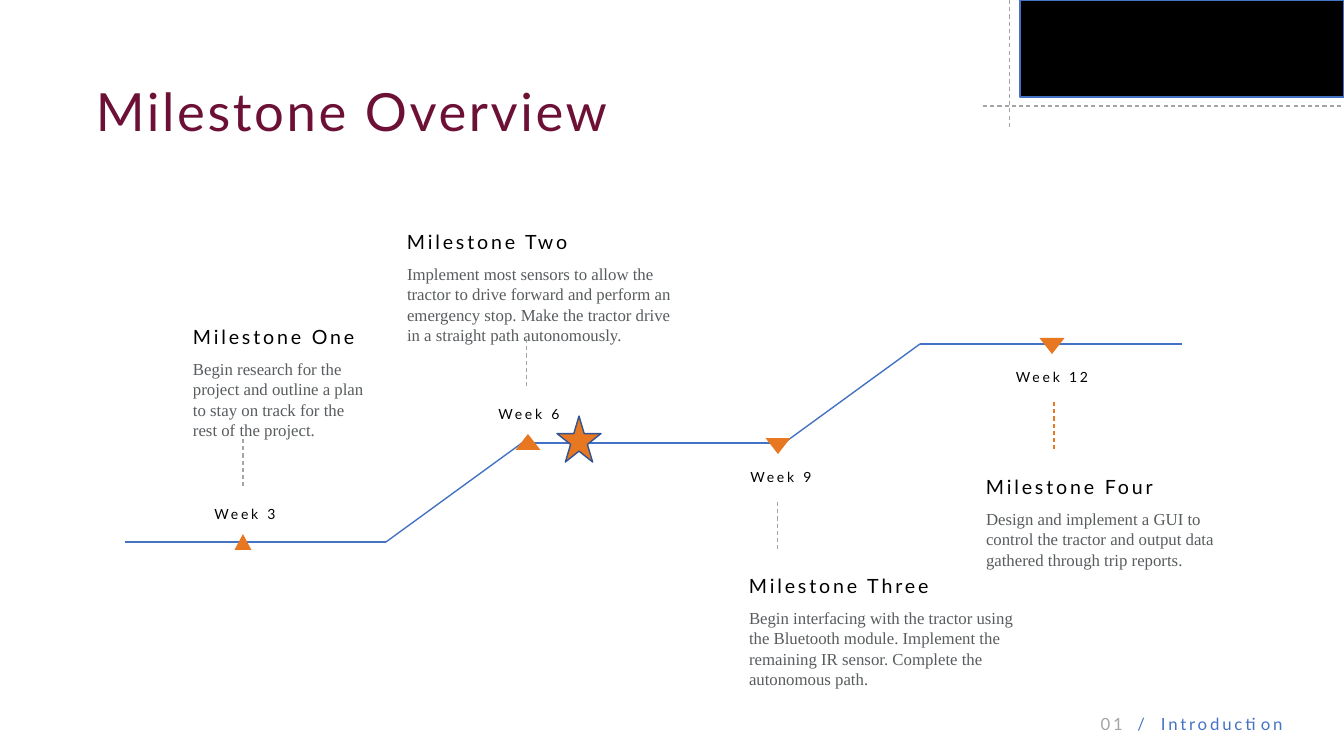
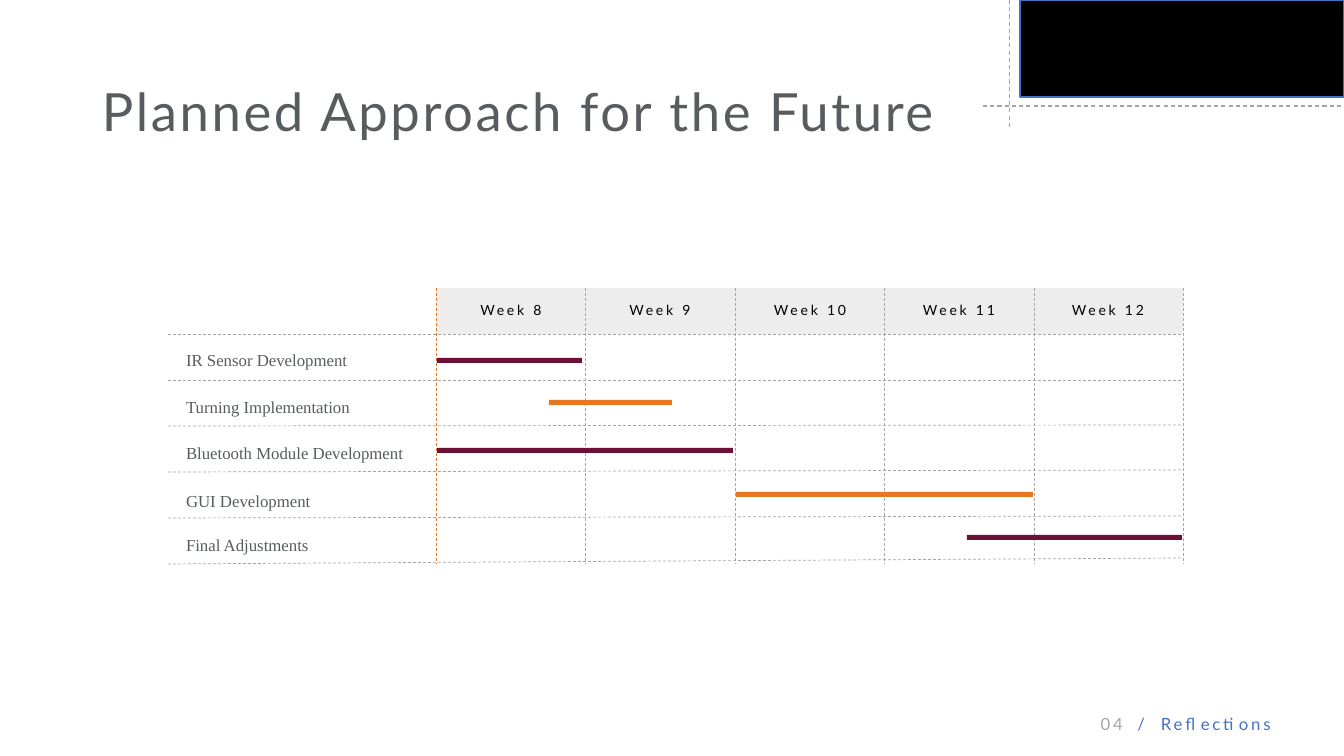
from dataclasses import dataclass
from itertools import pairwise

from lxml import etree
from pptx import Presentation
from pptx import util as u
from pptx.dml.color import RGBColor
from pptx.enum import dml, shapes, text
from pptx.oxml.ns import qn

WIDE, HIGH = 1344, 756
SCALE = 12192000 / WIDE
PAD = 5


@dataclass(frozen=True)
class Theme:
    sans: str = "Lato"
    serif: str = "Times New Roman"
    ink: str = "000000"
    grey: str = "585C5E"
    rule: str = "A5A5A5"
    band: str = "EDEDED"
    blue: str = "4472C4"
    navy: str = "325491"
    wine: str = "6C1035"
    flame: str = "E87722"
    title: float = 37.6
    head: float = 14
    body: float = 12
    small: float = 10


T = Theme()
SHAPE = shapes.MSO_SHAPE
ALIGN = text.PP_ALIGN
BOTTOM = text.MSO_ANCHOR.BOTTOM

LEVELS = [(125, 542), (386, 542), (522, 443), (784, 443), (920, 344), (1182, 344)]

# name, details, text corner, text width, week, week centre,
# leader x, leader colour, marker centre, marker top, marker width, points down
STONES = [
    ("Milestone One",
     "Begin research for the project and outline a plan to stay on track for the "
     "rest of the project.",
     (188, 320), 186, "Week 3", 245, 243, T.rule, 243, 534, 17, False),
    ("Milestone Two",
     "Implement most sensors to allow the tractor to drive forward and perform an "
     "emergency stop. Make the tractor drive in a straight path autonomously.",
     (402, 225), 276, "Week 6", 529, 527, T.rule, 528, 434, 25, False),
    ("Milestone Three",
     "Begin interfacing with the tractor using the Bluetooth module. Implement the "
     "remaining IR sensor. Complete the autonomous path.",
     (744, 569), 276, "Week 9", 781, 778, T.rule, 778, 438, 25, True),
    ("Milestone Four",
     "Design and implement a GUI to control the tractor and output data gathered "
     "through trip reports.",
     (981, 470), 276, "Week 12", 1052, 1054, T.flame, 1052, 338, 25, True),
]

WEEKS = ["Week 8", "Week 9", "Week 10", "Week 11", "Week 12"]

# task, label top, bar left, bar top, bar width
TASKS = [
    ("IR Sensor Development", 340, 437, 358, 145),
    ("Turning Implementation", 387, 549, 400, 123),
    ("Bluetooth Module Development", 433, 437, 448, 296),
    ("GUI Development", 481, 736, 492, 297),
    ("Final Adjustments", 525, 967, 535, 215),
]


def px(*sizes):
    return [u.Emu(round(size * SCALE)) for size in sizes]


def tint(code):
    return RGBColor.from_string(code)


def write(box, words, *, size, color, font=T.sans, track=0, align=ALIGN.LEFT,
          anchor=text.MSO_ANCHOR.TOP, lead=None):
    """Fill the box with one paragraph; track is letter spacing in points."""
    frame = box.text_frame
    frame.word_wrap = True
    frame.auto_size = text.MSO_AUTO_SIZE.NONE
    frame.vertical_anchor = anchor
    for side in ("left", "top", "right", "bottom"):
        setattr(frame, f"margin_{side}", px(PAD)[0])
    para = frame.paragraphs[0]
    para.alignment = align
    if lead:
        para.line_spacing = lead
    run = para.add_run()
    run.text = words
    run.font.size = u.Pt(size)
    run.font.name = font
    run.font.color.rgb = tint(color)
    if track:
        run.font._element.set("spc", str(round(track * 100)))


def label(slide, words, at, **style):
    write(slide.shapes.add_textbox(*px(*at)), words, **style)


def week(slide, words, mid, top):
    label(slide, words, (mid - 50, top, 100, 27), size=T.small, color=T.ink,
          track=2, align=ALIGN.CENTER)


def block(slide, kind, at, fill, edge=None):
    shape = slide.shapes.add_shape(kind, *px(*at))
    shape.shadow.inherit = False
    shape.fill.solid()
    shape.fill.fore_color.rgb = tint(fill)
    if edge:
        shape.line.color.rgb = tint(edge)
        shape.line.width = u.Pt(1)
    else:
        shape.line.fill.background()
    return shape


def line(slide, start, end, color, width=0.75, dash=True):
    link = slide.shapes.add_connector(shapes.MSO_CONNECTOR.STRAIGHT,
                                      *px(*start, *end))
    link.line.color.rgb = tint(color)
    link.line.width = u.Pt(width)
    if dash:
        link.line.dash_style = dml.MSO_LINE.DASH
    etree.SubElement(link._element.spPr, qn("a:effectLst"))


def corner(slide):
    block(slide, SHAPE.RECTANGLE, (1020, 0, 324, 97), T.ink, T.blue)
    line(slide, (1010, 0), (1010, 130), T.rule)
    line(slide, (983, 106), (WIDE, 106), T.rule)


def footer(slide, number, part):
    for words, left, width, color, align in [
        (number, 648, 480, T.rule, ALIGN.RIGHT),
        ("/", 1123, 27, T.blue, ALIGN.RIGHT),
        (part, 1156, 188, T.blue, ALIGN.LEFT),
    ]:
        label(slide, words, (left, 694, width, 45), size=T.body, color=color,
              track=2, align=align, anchor=BOTTOM, lead=0.9)


def start(deck, title, left, width, color, number, part):
    """Add a slide with the shared title, corner and footer."""
    slide = deck.slides.add_slide(deck.slide_layouts[5])
    head = slide.shapes.title
    head.left, head.top, head.width, head.height = px(left, 74, width, 74)
    write(head, title, size=T.title, color=color, track=1.9, anchor=BOTTOM,
          lead=0.9)
    corner(slide)
    footer(slide, number, part)
    return slide


def stone(slide, name, details, corner_at, width, when, mid, stem, shade,
          mark, top, span, down):
    left, high = corner_at
    label(slide, name, (left, high, 260, 34), size=T.head, color=T.ink, track=2)
    label(slide, details, (left, high + 34, width, 92), size=T.body,
          color=T.grey, font=T.serif)
    week(slide, when, mid, top + (26 if down else -33))
    stem_top = top + (64 if down else -95)
    line(slide, (stem, stem_top), (stem, stem_top + 50), shade)
    sign = block(slide, SHAPE.ISOSCELES_TRIANGLE,
                 (mark - span / 2, top, span, 16), T.flame)
    sign.rotation = 180 if down else 0


def overview(deck):
    slide = start(deck, "Milestone Overview", 91, 629, T.wine, "01",
                  "Introduction")
    for here, there in pairwise(LEVELS):
        line(slide, here, there, T.blue, width=1, dash=False)
    for row in STONES:
        stone(slide, *row)
    block(slide, SHAPE.STAR_5_POINT, (557, 416, 44, 46), T.flame, T.navy)


def plan(deck):
    slide = start(deck, "Planned Approach for the Future", 97, 966, T.grey,
                  "04", "Reflections")
    left, top, right, base = 436, 288, 1183, 564
    step = (right - left) / len(WEEKS)
    block(slide, SHAPE.RECTANGLE, (left, top, right - left, 46), T.band)
    for i in range(len(WEEKS) + 1):
        x = round(left + i * step)
        line(slide, (x, top), (x, base), T.rule if i else T.flame, width=0.5)
    for i, rise in enumerate((0, 0, 1, 2, 2, 6)):
        y = 334 + 46 * i
        line(slide, (168, y), (right, y - rise), T.rule, width=0.5)
    for i, when in enumerate(WEEKS):
        week(slide, when, round(left + (i + 0.5) * step), 297)
    for i, (task, high, x, y, width) in enumerate(TASKS):
        label(slide, task, (181, high, 236, 33), size=T.body, color=T.grey,
              font=T.serif, lead=u.Pt(18))
        block(slide, SHAPE.RECTANGLE, (x, y, width, 5),
              T.flame if i % 2 else T.wine)


def main():
    deck = Presentation()
    deck.slide_width, deck.slide_height = px(WIDE, HIGH)
    overview(deck)
    plan(deck)
    deck.save("out.pptx")


if __name__ == "__main__":
    main()
